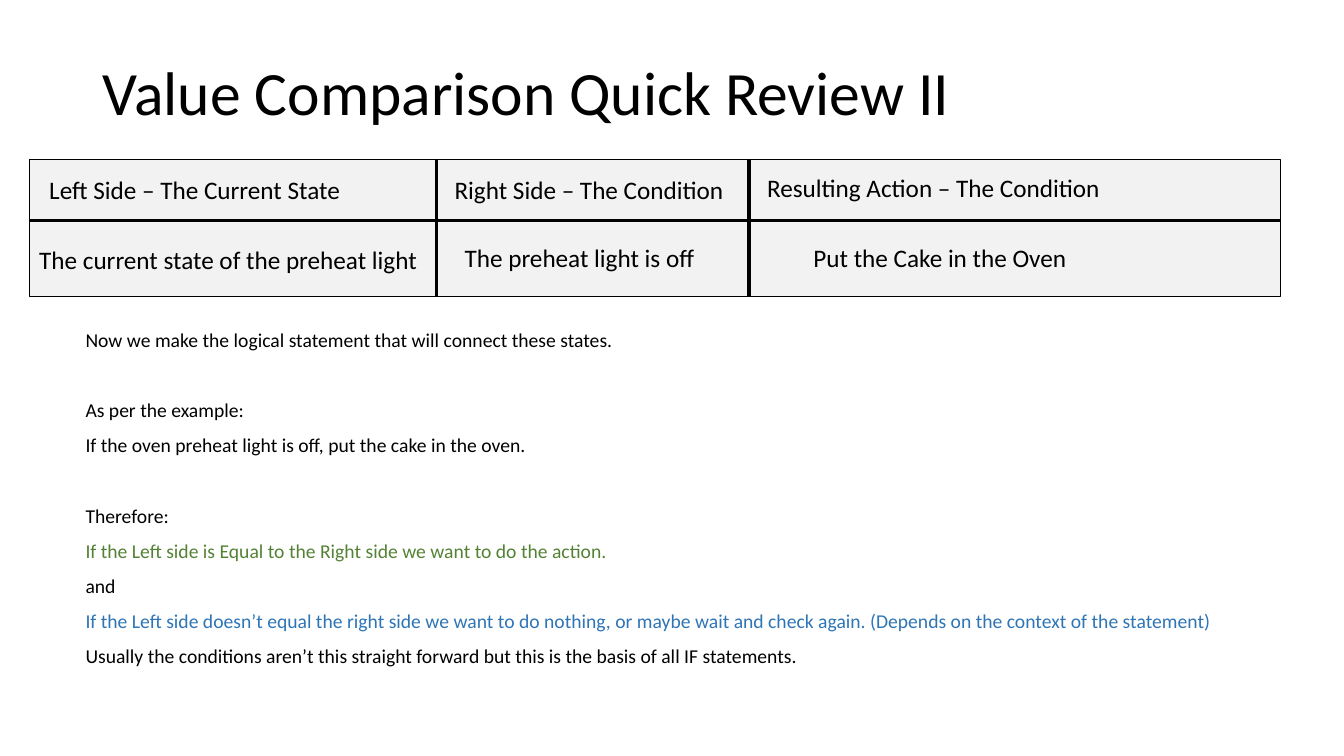
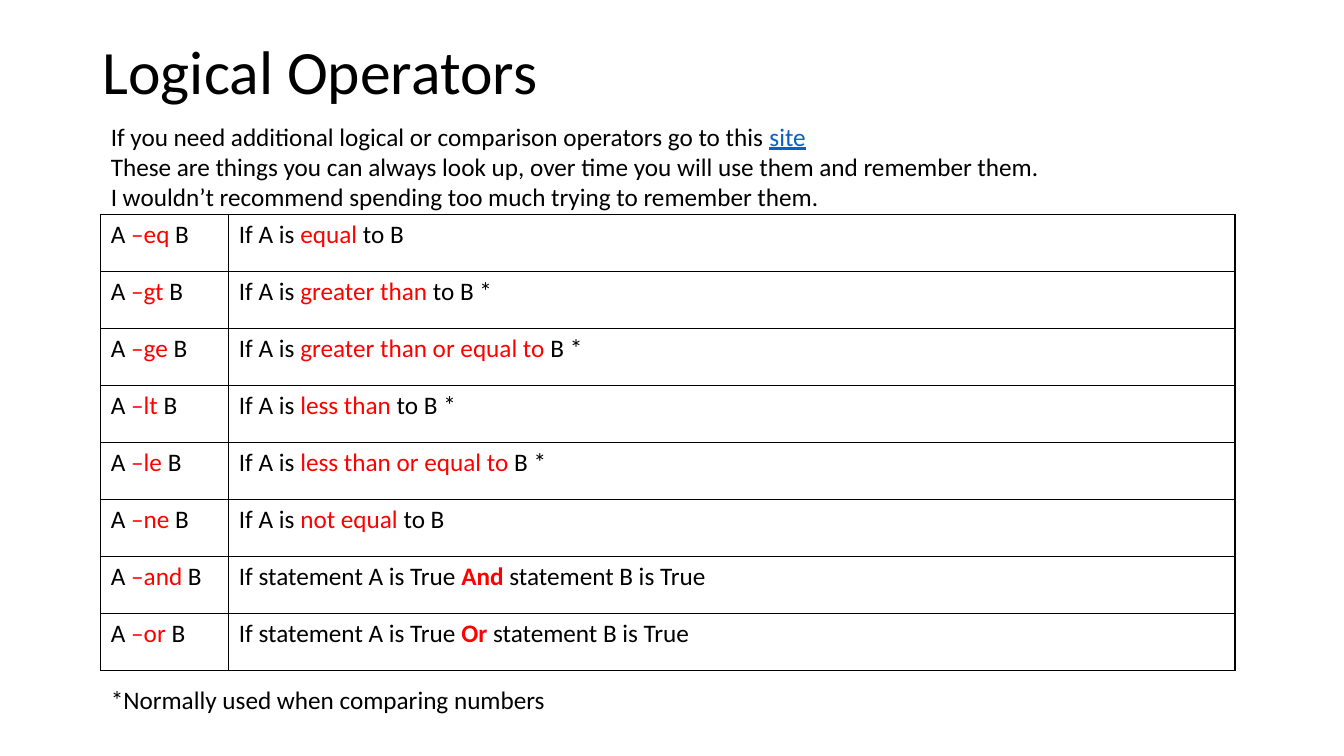
from lxml.etree import SubElement
from pptx import Presentation
from pptx.dml.color import RGBColor
from pptx.enum.shapes import MSO_CONNECTOR, MSO_SHAPE
from pptx.enum.text import MSO_ANCHOR
from pptx.oxml.ns import qn
from pptx.util import Inches, Pt

BLACK = RGBColor(0x00, 0x00, 0x00)
PALE_GRAY = RGBColor(0xF2, 0xF2, 0xF2)
GREEN = RGBColor(0x54, 0x82, 0x35)
BLUE = RGBColor(0x2E, 0x75, 0xB6)
LINK_BLUE = RGBColor(0x05, 0x63, 0xC1)
RED = RGBColor(0xFF, 0x00, 0x00)
FONT = "Calibri"
TITLE_SIZE, TEXT_SIZE, BODY_SIZE = 44, 18, 14

deck = Presentation()
deck.slide_width = Inches(13.33)
deck.slide_height = Inches(7.5)
blank = deck.slide_layouts[6]


def write(para, spans, size=TEXT_SIZE):
    """Fill a paragraph with (text, colour) spans and return the runs."""
    para.font.name = FONT
    para.font.size = Pt(size)
    runs = []
    for text, color in spans:
        span = para.add_run()
        span.text = text
        span.font.color.rgb = color
        runs.append(span)
    return runs


def add_text(page, left, top, width, height):
    """Add an empty wrapping text box and return its text frame."""
    box = page.shapes.add_textbox(Inches(left), Inches(top), Inches(width), Inches(height))
    box.text_frame.word_wrap = True
    return box.text_frame


# Pages with their titles
pages = []
for title, top, height in [
    ("Value Comparison Quick Review II", 0.4, 1.1),
    ("Logical Operators", 0.01, 1.45),
]:
    page = deck.slides.add_slide(blank)
    frame = add_text(page, 0.92, top, 11.5, height)
    frame.vertical_anchor = MSO_ANCHOR.MIDDLE
    frame.paragraphs[0].line_spacing = 0.9
    write(frame.paragraphs[0], [(title, BLACK)], TITLE_SIZE)
    pages.append(page)
review, operators = pages

# Review: comparison panel
LEFT, TOP, RIGHT, BOTTOM = 0.29, 1.58, 12.7, 2.94
panel = review.shapes.add_shape(
    MSO_SHAPE.RECTANGLE, Inches(LEFT), Inches(TOP), Inches(RIGHT - LEFT), Inches(BOTTOM - TOP)
)
panel.shadow.inherit = False
panel.fill.solid()
panel.fill.fore_color.rgb = PALE_GRAY
panel.line.color.rgb = BLACK
panel.line.width = Pt(1)

# Review: panel dividers
for x1, y1, x2, y2 in [
    (LEFT, 2.19, RIGHT, 2.19),
    (4.33, TOP, 4.33, BOTTOM),
    (7.43, TOP, 7.43, BOTTOM),
]:
    divider = review.shapes.add_connector(
        MSO_CONNECTOR.STRAIGHT, Inches(x1), Inches(y1), Inches(x2), Inches(y2)
    )
    divider.line.color.rgb = BLACK
    divider.line.width = Pt(2.5)
    SubElement(divider.element.spPr, qn("a:effectLst"))

# Review: panel labels
for text, left, top, width in [
    ("Left Side – The Current State", 0.39, 1.68, 3.17),
    ("Right Side – The Condition", 4.41, 1.68, 3.02),
    ("Resulting Action – The Condition", 7.51, 1.66, 3.88),
    ("The current state of the preheat light", 0.29, 2.37, 4.3),
    ("The preheat light is off", 4.51, 2.36, 2.74),
    ("Put the Cake in the Oven", 7.97, 2.36, 2.74),
]:
    frame = add_text(review, left, top, width, 0.4)
    write(frame.paragraphs[0], [(text, BLACK)])

# Review: explanation, with the space before each paragraph in points
frame = add_text(review, 0.75, 3.23, 11.5, 3.45)
for index, (text, color, gap) in enumerate([
    ("Now we make the logical statement that will connect these states.", BLACK, 0),
    ("As per the example:", BLACK, 35),
    ("If the oven preheat light is off, put the cake in the oven.", BLACK, 10),
    ("Therefore:", BLACK, 35),
    ("If the Left side is Equal to the Right side we want to do the action.", GREEN, 10),
    ("and", BLACK, 10),
    ("If the Left side doesn’t equal the right side we want to do nothing, or maybe wait "
     "and check again. (Depends on the context of the statement)", BLUE, 10),
    ("Usually the conditions aren’t this straight forward but this is the basis of all "
     "IF statements.", BLACK, 10),
]):
    para = frame.add_paragraph() if index else frame.paragraphs[0]
    para.line_spacing = 0.9
    para.space_before = Pt(gap)
    write(para, [(text, color)], BODY_SIZE)

# Operators: table
rows = [
    ("eq", "If A is ", "equal", " to B"),
    ("gt", "If A is ", "greater than", " to B *"),
    ("ge", "If A is ", "greater than or equal to", " B *"),
    ("lt", "If A is ", "less than", " to B *"),
    ("le", "If A is ", "less than or equal to", " B *"),
    ("ne", "If A is ", "not equal", " to B"),
    ("and", "If statement A is True ", "And", " statement B is True"),
    ("or", "If statement A is True ", "Or", " statement B is True"),
]
table = operators.shapes.add_table(
    len(rows), 2, Inches(1), Inches(2.13), Inches(11.25), Inches(4.52)
).table
table.first_row = False
table.horz_banding = False
table.columns[0].width = Inches(1.27)
table.columns[1].width = Inches(9.98)
for row, (operator, start, meaning, end) in enumerate(rows):
    write(table.cell(row, 0).text_frame.paragraphs[0],
          [("A ", BLACK), (f"–{operator} ", RED), ("B", BLACK)])
    runs = write(table.cell(row, 1).text_frame.paragraphs[0],
                 [(start, BLACK), (meaning, RED), (end, BLACK)])
    if operator in ("and", "or"):
        runs[1].font.bold = True

# Operators: cell borders
for cell in table.iter_cells():
    properties = cell._tc.get_or_add_tcPr()
    for side in ("lnL", "lnR", "lnT", "lnB"):
        border = SubElement(properties, qn(f"a:{side}"), w=str(Pt(1)))
        fill = SubElement(border, qn("a:solidFill"))
        SubElement(fill, qn("a:srgbClr"), val=str(BLACK))
    cell.fill.background()

# Operators: introduction
frame = add_text(operators, 1, 1.15, 11.18, 1.01)
for index, spans in enumerate([
    [("If you need additional logical or comparison operators go to this ", BLACK),
     ("site", LINK_BLUE)],
    [("These are things you can always look up, over time you will use them and "
      "remember them.", BLACK)],
    [("I wouldn’t recommend spending too much trying to remember them.", BLACK)],
]):
    para = frame.add_paragraph() if index else frame.paragraphs[0]
    for span in write(para, spans)[1:]:
        span.font.underline = True

# Operators: footnote
frame = add_text(operators, 1, 6.74, 11.18, 0.4)
write(frame.paragraphs[0], [("*Normally used when comparing numbers", BLACK)])

deck.save("out.pptx")
